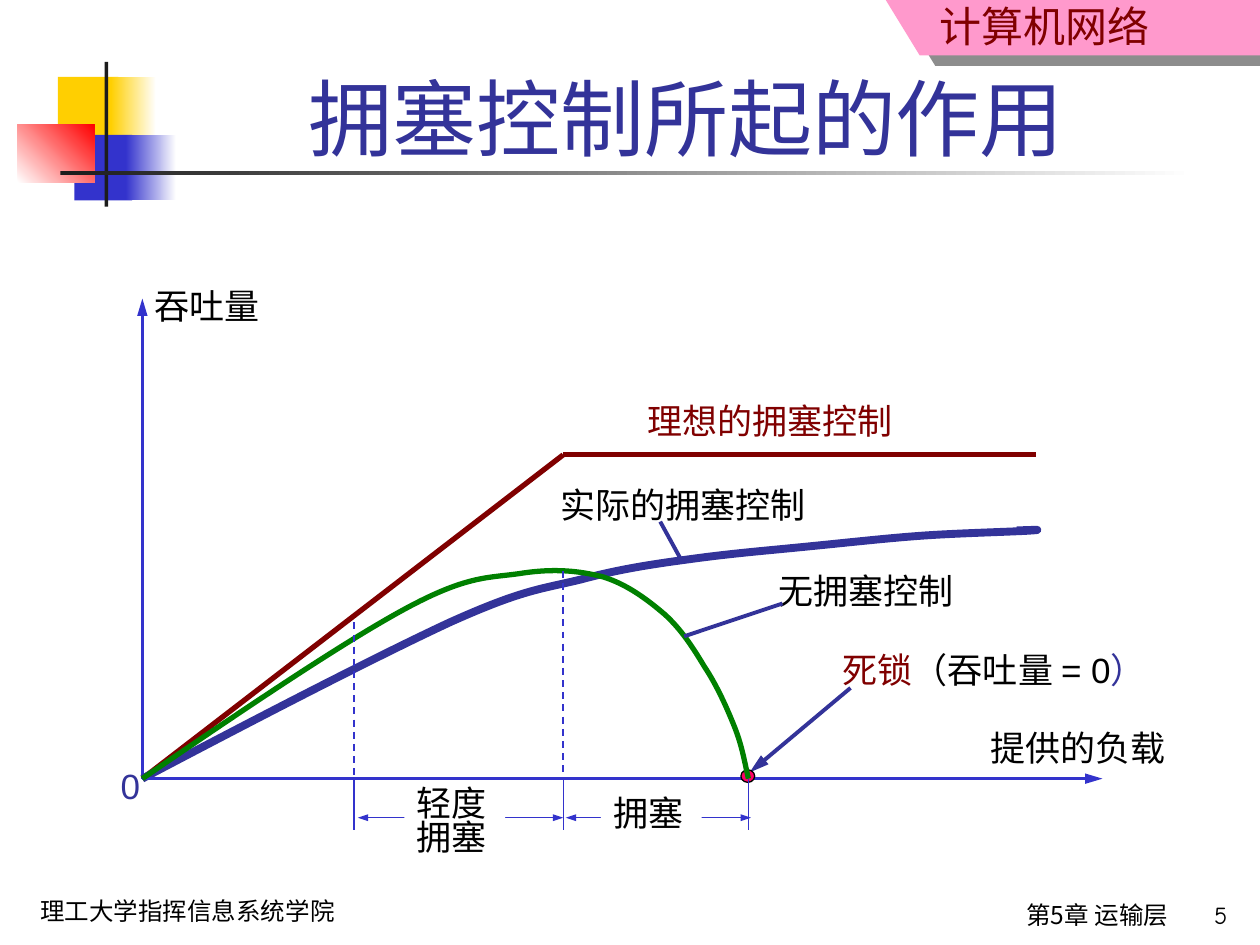
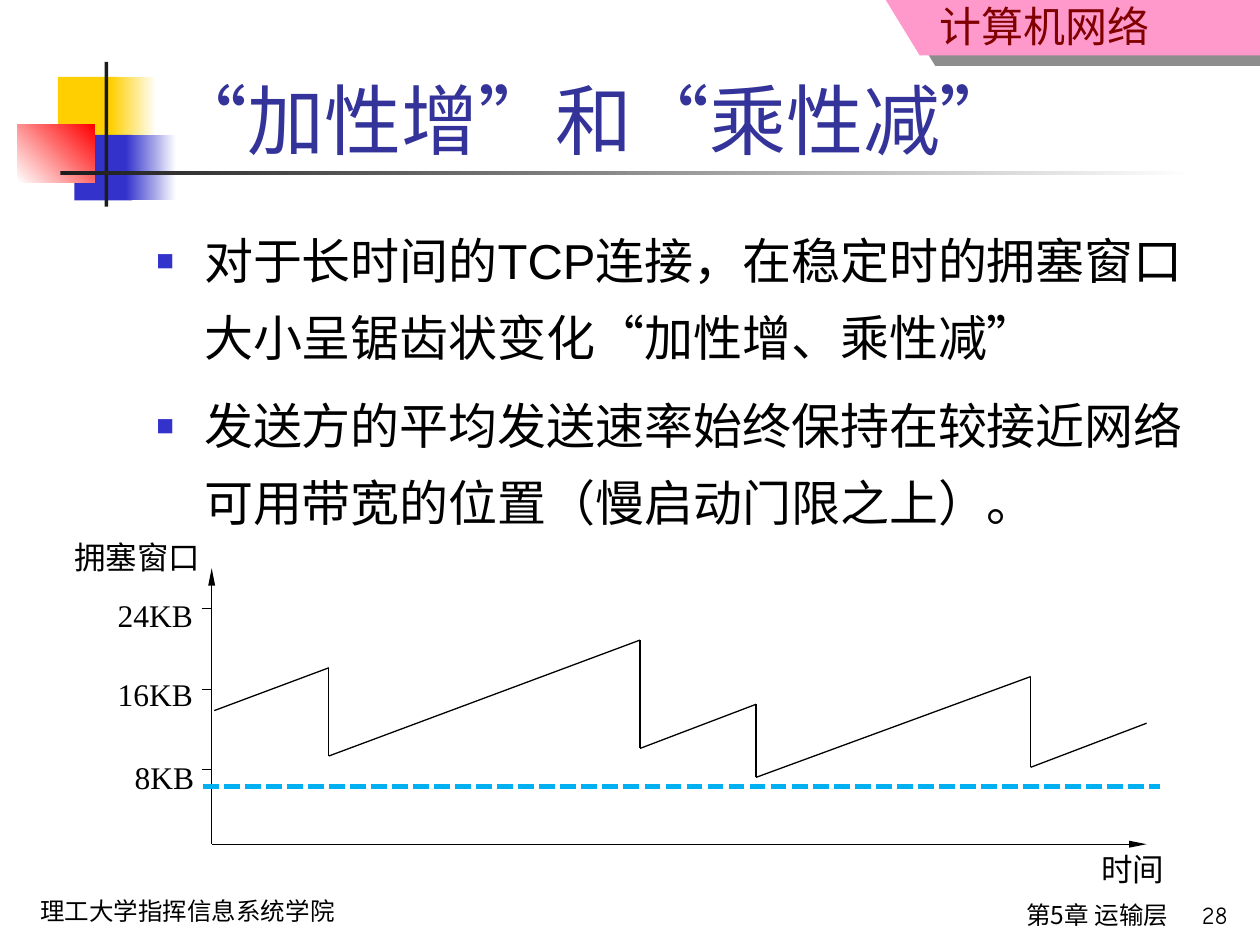
from itertools import pairwise

from lxml import etree
from pptx import Presentation
from pptx.dml.color import RGBColor
from pptx.enum.dml import MSO_LINE
from pptx.enum.lang import MSO_LANGUAGE_ID
from pptx.enum.shapes import MSO_CONNECTOR, MSO_SHAPE
from pptx.enum.text import MSO_ANCHOR, MSO_AUTO_SIZE, PP_ALIGN
from pptx.oxml.ns import qn
from pptx.util import Inches, Pt

LEFT, CENTER, RIGHT = PP_ALIGN.LEFT, PP_ALIGN.CENTER, PP_ALIGN.RIGHT
BOTTOM = MSO_ANCHOR.BOTTOM
NO_FIT, GROW = MSO_AUTO_SIZE.NONE, MSO_AUTO_SIZE.SHAPE_TO_FIT_TEXT
RECTANGLE, OVAL = MSO_SHAPE.RECTANGLE, MSO_SHAPE.OVAL
STRAIGHT = MSO_CONNECTOR.STRAIGHT
DASH, SHORT_DASH = MSO_LINE.DASH, MSO_LINE.SQUARE_DOT
CHINESE = MSO_LANGUAGE_ID.SIMPLIFIED_CHINESE
TITLE_AND_BODY, TITLE_ONLY = 1, 5

BLACK, WHITE, CHARCOAL = "000000", "FFFFFF", "1C1C1C"
NAVY, BLUE, MAROON, GREEN = "333399", "3333CC", "800000", "008000"
YELLOW, RED, PINK, MAGENTA, CYAN = "FFCF01", "FF0000", "FF99CC", "FF0066", "00B0F0"
SANS, SERIF, COMIC, HAN = "Arial", "Times New Roman", "Comic Neue", "Noto Sans CJK SC"
LABEL_SLACK = 0.05


def rgb(colour):
    return RGBColor.from_string(colour)


def inches(values):
    return [Inches(value) for value in values]


def add_element(parent, tag, **attributes):
    return etree.SubElement(parent, qn(tag), attributes)


def write(frame, paragraphs, size=20, font=SANS, colour=BLACK, align=LEFT,
          line_spacing=None, space_before=0, bullet=False):
    """Fill a text frame; a paragraph is a string or a list of (text, colour)."""
    for index, content in enumerate(paragraphs):
        paragraph = frame.paragraphs[0] if index == 0 else frame.add_paragraph()
        if bullet:
            add_bullet(paragraph)
        paragraph.alignment = align
        paragraph.space_before = Pt(space_before if index else 0)
        if line_spacing:
            paragraph.line_spacing = line_spacing
        runs = [(content, colour)] if isinstance(content, str) else content
        for text, run_colour in runs:
            run = paragraph.add_run()
            run.text = text
            run.font.size = Pt(size)
            run.font.name = font
            run.font.color.rgb = rgb(run_colour)
            run.font.language_id = CHINESE
            add_element(run._r.get_or_add_rPr(), "a:ea", typeface=HAN)


def add_bullet(paragraph):
    properties = paragraph._p.get_or_add_pPr()
    properties.set("marL", str(Inches(0.38)))
    properties.set("indent", str(-Inches(0.38)))
    add_element(add_element(properties, "a:buClr"), "a:srgbClr", val=BLUE)
    add_element(properties, "a:buSzPct", val="60000")
    add_element(properties, "a:buFont", typeface=SANS)
    add_element(properties, "a:buChar", char="■")


class Deck:
    def __init__(self):
        self.presentation = Presentation()
        self.presentation.slide_width = Inches(10)
        self.presentation.slide_height = Inches(7.5)
        self.slide = None

    def new_slide(self, layout, number):
        layouts = self.presentation.slide_layouts
        self.slide = self.presentation.slides.add_slide(layouts[layout])
        self.header_band()
        self.logo_blocks()
        self.text("理工大学指挥信息系统学院", 0.22, 7.06, 3.11, 0.34,
                  fit=GROW, size=14, font=COMIC)
        self.text("第5章 运输层", 4.29, 7.09, 5.08, 0.41, size=14, font=HAN, align=RIGHT)
        self.text(str(number), 9.05, 7.09, 0.79, 0.38, size=14, font=COMIC, align=RIGHT)

    def header_band(self):
        band = self.freeform([(7.03, 0), (7.3, 0.44), (10, 0.44), (10, 0)], fill=PINK)
        effects = band._element.spPr.find(qn("a:effectLst"))
        shadow = add_element(effects, "a:outerShdw", dist=str(Pt(10.8)),
                             dir=str(34 * 60000), algn="ctr", rotWithShape="0")
        colour = add_element(shadow, "a:srgbClr", val=CHARCOAL)
        add_element(colour, "a:alpha", val="50000")
        self.text("计算机网络", 5.82, 0, 3.4, 0.45, top_inset=0, fit=GROW,
                  size=24, font=HAN, colour=MAROON, align=RIGHT)

    def logo_blocks(self):
        self.shape(0.46, 0.61, 0.48, 0.52, YELLOW)
        self.shape(0.88, 0.61, 0.36, 0.52, (YELLOW, WHITE))
        self.shape(0.59, 1.07, 0.46, 0.52, BLUE)
        self.shape(1, 1.07, 0.4, 0.52, (BLUE, WHITE))
        self.shape(0.14, 0.99, 0.61, 0.46, (WHITE, RED), angle=45)
        self.shape(0.83, 0.49, 0.03, 1.15, CHARCOAL)
        self.shape(0.48, 1.36, 9, 0.03, (CHARCOAL, WHITE))

    def placeholder(self, shape, paragraphs, box, anchor=None, **style):
        shape.left, shape.top, shape.width, shape.height = inches(box)
        frame = shape.text_frame
        frame.auto_size = NO_FIT
        if anchor is not None:
            frame.vertical_anchor = anchor
        write(frame, paragraphs, **style)

    def title(self, text, left, top, **style):
        self.placeholder(self.slide.shapes.title, [text], (left, top, 8.52, 1.15),
                         anchor=BOTTOM, colour=NAVY, **style)

    def bullets(self, paragraphs, *box):
        self.placeholder(self.slide.placeholders[1], paragraphs, box, size=28,
                         line_spacing=1.3, space_before=7, bullet=True)

    def text(self, content, left, top, width, height, wrap=True, fit=NO_FIT, fill=None,
             top_inset=0.05, **style):
        box = self.slide.shapes.add_textbox(*inches((left, top, width, height)))
        if fill:
            box.fill.solid()
            box.fill.fore_color.rgb = rgb(fill)
        frame = box.text_frame
        frame.word_wrap = wrap
        frame.auto_size = fit
        frame.margin_top = Inches(top_inset)
        write(frame, content if isinstance(content, list) else [content], **style)

    def label(self, content, left, top, width, height=0.44, align=LEFT, **style):
        """Add an unwrapped text, with a little slack on its free side."""
        if align == RIGHT:
            left -= LABEL_SLACK
        self.text(content, left, top, width + LABEL_SLACK, height, wrap=False,
                  fit=GROW, align=align, **style)

    def shape(self, left, top, width, height, fill, kind=RECTANGLE, angle=0, line=None):
        """Add a preset shape; a pair of colours as fill makes a gradient."""
        shape = self.slide.shapes.add_shape(kind, *inches((left, top, width, height)))
        self.paint(shape, fill, line, 0.75, angle)

    def freeform(self, points, fill=None, line=None, width=1):
        """Add a closed filled outline, or an open one when there is no fill."""
        points = [inches(point) for point in points]
        builder = self.slide.shapes.build_freeform(*points[0], scale=1.0)
        builder.add_line_segments(points[1:], close=fill is not None)
        shape = builder.convert_to_shape()
        self.paint(shape, fill, line, width)
        return shape

    def curve(self, start, segments, colour, width):
        """Draw cubic curves; a segment is two control points and its end."""
        ends = [segment[4:] for segment in segments]
        shape = self.freeform([start, *ends], line=colour, width=width)
        straight_parts = list(shape._element.iter(qn("a:lnTo")))
        for part, (x1, y1, x2, y2, *_) in zip(straight_parts, segments):
            part.tag = qn("a:cubicBezTo")
            for index, (x, y) in enumerate([(x1, y1), (x2, y2)]):
                control = add_element(part, "a:pt", x=str(Inches(x) - shape.left),
                                      y=str(Inches(y) - shape.top))
                part.insert(index, control)

    def paint(self, shape, fill, line, width, angle=0):
        shape.shadow.inherit = False
        if fill is None:
            shape.fill.background()
        elif isinstance(fill, str):
            shape.fill.solid()
            shape.fill.fore_color.rgb = rgb(fill)
        else:
            shape.fill.gradient()
            shape.fill.gradient_angle = angle
            for stop, colour in zip(shape.fill.gradient_stops, fill):
                stop.color.rgb = rgb(colour)
        if line is None:
            shape.line.fill.background()
        else:
            shape.line.color.rgb = rgb(line)
            shape.line.width = Pt(width)

    def line(self, start, end, colour=BLACK, width=0.75, dash=None, arrows=(),
             arrow_size=("med", "lg")):
        """Draw a straight line; arrows may hold "head" (start) and "tail" (end)."""
        connector = self.slide.shapes.add_connector(
            STRAIGHT, *inches(start), *inches(end))
        connector.line.color.rgb = rgb(colour)
        connector.line.width = Pt(width)
        if dash is not None:
            connector.line.dash_style = dash
        arrow_width, arrow_length = arrow_size
        for arrow in arrows:
            add_element(connector.line._get_or_add_ln(), f"a:{arrow}End",
                        type="triangle", w=arrow_width, len=arrow_length)
        add_element(connector._element.spPr, "a:effectLst")


def congestion_control_effect(deck):
    deck.new_slide(TITLE_ONLY, 5)
    deck.title("拥塞控制所起的作用 ", 1.26, 0.23, size=48, align=CENTER)
    axis_y = 6.18
    origin = (1.13, axis_y)
    light_x, heavy_x, deadlock_x = 2.81, 4.47, 5.94

    deck.line(origin, (1.13, 2.37), BLUE, 1.5, arrows=["tail"])
    deck.label("提供的负载", 7.76, 5.72, 1.59)
    deck.label("吞吐量", 1.13, 2.21, 1.03)

    for start, end in pairwise([origin, (heavy_x, 3.61), (8.22, 3.61)]):
        deck.line(start, end, MAROON, 3)
    deck.label("理想的拥塞控制", 5.04, 3.12, 2.15, colour=MAROON)

    actual_control = [
        (2.06, 5.69, 2.99, 5.21, 3.57, 4.94), (4.15, 4.68, 4.28, 4.68, 4.61, 4.6),
        (4.94, 4.51, 5.24, 4.47, 5.54, 4.43), (5.84, 4.39, 6.09, 4.37, 6.39, 4.34),
        (6.7, 4.31, 7.05, 4.27, 7.35, 4.25), (7.65, 4.23, 8.08, 4.22, 8.2, 4.21),
        (8.32, 4.2, 8.09, 4.21, 8.07, 4.21)]
    deck.curve(origin, actual_control, NAVY, 4.5)
    deck.label("实际的拥塞控制", 4.35, 3.79, 2.15)
    deck.line((5.24, 4.14), (5.41, 4.45), NAVY, 2.25)

    deck.line(origin, (8.75, axis_y), BLUE, 1.5, arrows=["tail"])
    deck.label("0", 0.86, 6.02, 0.35, colour=NAVY)
    deck.label([[("死锁", MAROON), ("（吞吐量 = 0", BLACK), ("）", NAVY)]], 6.59, 5.1, 2.74)
    deck.line((6.75, 5.46), (5.95, 6.13), NAVY, 2.25, arrows=["tail"])
    deck.shape(5.88, 6.11, 0.11, 0.1, MAGENTA, kind=OVAL, line=BLACK)

    for start_x, end_x in [(4.49, 5.96), (2.84, heavy_x)]:
        deck.line((start_x, 6.49), (end_x, 6.49), BLUE, arrows=["head", "tail"],
                  arrow_size=("sm", "med"))
    no_control = [
        (1.92, 5.64, 2.72, 5.1, 3.22, 4.83), (3.72, 4.56, 3.88, 4.59, 4.14, 4.55),
        (4.4, 4.51, 4.6, 4.53, 4.79, 4.58), (4.98, 4.64, 5.14, 4.76, 5.28, 4.88),
        (5.41, 5, 5.5, 5.14, 5.59, 5.29), (5.69, 5.44, 5.77, 5.62, 5.83, 5.77),
        (5.89, 5.92, 5.91, 6.05, deadlock_x, axis_y)]
    deck.curve(origin, no_control, GREEN, 3)
    deck.label("无拥塞控制", 6.08, 4.47, 1.59)
    deck.line((6.21, 4.79), (5.43, 5.05), NAVY, 2.25)

    for x, top in [(light_x, 4.94), (heavy_x, 4.53)]:
        deck.line((x, top), (x, axis_y), BLUE, 1, dash=DASH)
    for x in (light_x, heavy_x, deadlock_x):
        deck.line((x, axis_y), (x, 6.59), BLUE)
    deck.label("拥塞", 4.77, 6.23, 0.75, fill=WHITE)
    deck.label(["轻度", "拥塞"], 3.21, 6.22, 0.75, 0.64, fill=WHITE, line_spacing=0.8)


def additive_increase(deck):
    deck.new_slide(TITLE_AND_BODY, 28)
    deck.title("“加性增”和“乘性减”", 1.25, 0.21, size=44)
    deck.bullets(["对于长时间的TCP连接，在稳定时的拥塞窗口大小呈锯齿状变化“加性增、乘性减”",
                  "发送方的平均发送速率始终保持在较接近网络可用带宽的位置（慢启动门限之上）。"],
                 1.14, 1.64, 8.5, 5.28)

    axis_x, axis_y = 1.68, 6.7
    slender = ("sm", "lg")
    deck.line((axis_x, 4.51), (axis_x, axis_y), arrows=["head"], arrow_size=slender)
    deck.line((axis_x, axis_y), (9.1, axis_y), arrows=["tail"], arrow_size=slender)
    deck.label("拥塞窗口", 0.49, 4.22, 1.2, 0.4, size=18, font=HAN)
    deck.label("时间", 8.64, 6.7, 0.7, 0.4, size=18, font=HAN)
    window_labels = [("24KB", 0.84, 4.68, 0.79), ("16KB", 0.84, 5.31, 0.79),
                     ("8KB", 0.97, 5.97, 0.67)]
    for index, (text, left, top, width) in enumerate(window_labels):
        tick_y = 4.83 + 0.64 * index
        deck.line((1.6, tick_y), (axis_x, tick_y))
        deck.label(text, left, top, width, 0.4, size=18, font=SERIF, align=RIGHT)

    sawtooth = [(1.7, 5.64), (2.61, 5.3), (2.61, 6), (5.08, 5.08), (5.08, 5.94),
                (6, 5.59), (6, 6.17), (8.18, 5.37), (8.18, 6.09), (9.1, 5.74)]
    for start, end in pairwise(sawtooth):
        deck.line(start, end)
    deck.line((1.61, 6.24), (9.21, 6.24), CYAN, 3, dash=SHORT_DASH)


def main():
    deck = Deck()
    congestion_control_effect(deck)
    additive_increase(deck)
    deck.presentation.save("out.pptx")


if __name__ == "__main__":
    main()
